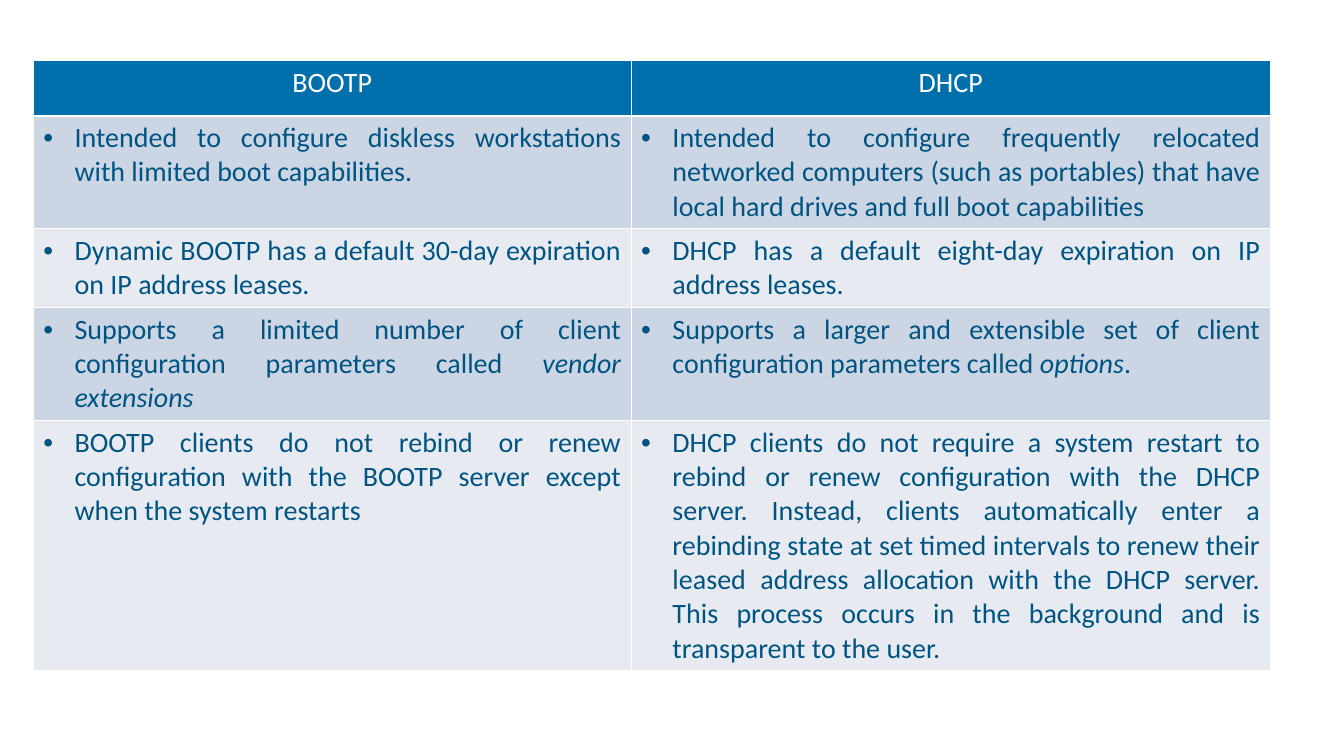
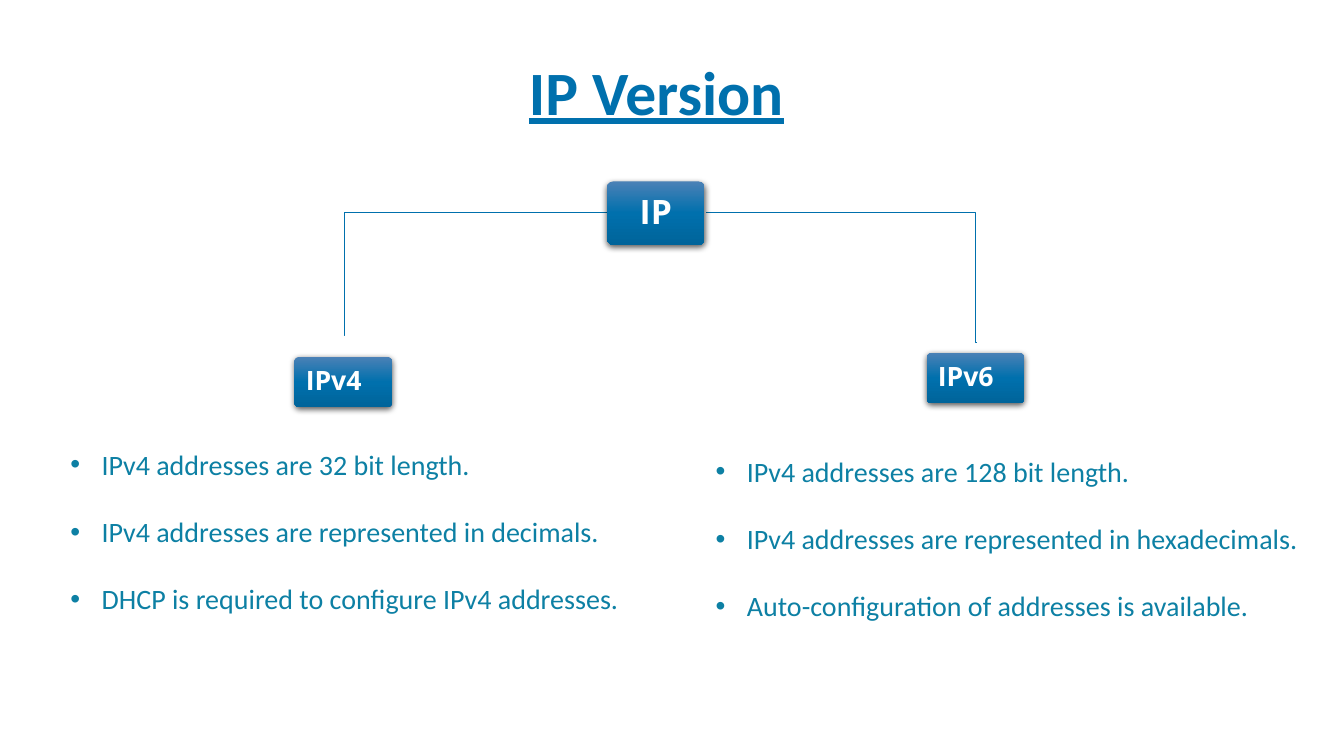
from copy import deepcopy
from dataclasses import dataclass

from lxml.etree import SubElement
from pptx import Presentation
from pptx.dml.color import RGBColor
from pptx.enum.shapes import MSO_CONNECTOR, MSO_SHAPE
from pptx.enum.text import MSO_ANCHOR, PP_ALIGN
from pptx.oxml.ns import qn
from pptx.util import Inches, Pt


@dataclass(frozen=True)
class Theme:
    blue: RGBColor = RGBColor(0x00, 0x70, 0xAD)
    light_blue: RGBColor = RGBColor(0x4B, 0x81, 0xB6)
    deep_blue: RGBColor = RGBColor(0x00, 0x64, 0x9A)
    table_text: RGBColor = RGBColor(0x00, 0x54, 0x82)
    list_text: RGBColor = RGBColor(0x0D, 0x80, 0xA4)
    white: RGBColor = RGBColor(0xFF, 0xFF, 0xFF)
    bands: tuple = (RGBColor(0xCC, 0xD5, 0xE3), RGBColor(0xE7, 0xEB, 0xF1))
    body_font: str = "Calibri"
    label_font: str = "Open Sans"
    title_size: int = 44
    body_size: int = 20
    root_size: int = 24
    branch_size: int = 19


theme = Theme()


def style(para, color, size=theme.body_size, name=theme.body_font, bold=False):
    font = para.font
    font.name, font.size, font.bold = name, Pt(size), bold
    font.color.rgb = color


def add_bullet(para):
    properties = para._p.get_or_add_pPr()
    properties.set("marL", str(Inches(0.31)))
    properties.set("indent", str(-Inches(0.31)))
    SubElement(properties, qn("a:buFont"), typeface="Arial")
    SubElement(properties, qn("a:buChar"), char="•")


deck = Presentation()
deck.slide_width, deck.slide_height = Inches(13.33), Inches(7.5)
blank = deck.slide_layouts[6]

# Slide 1: comparison table; asterisks enclose italic words
page = deck.slides.add_slide(blank)
rows = [
    ("BOOTP", "DHCP"),
    ("Intended to configure diskless workstations with limited boot capabilities.",
     "Intended to configure frequently relocated networked computers (such as portables) "
     "that have local hard drives and full boot capabilities"),
    ("Dynamic BOOTP has a default 30-day expiration on IP address leases.",
     "DHCP has a default eight-day expiration on IP address leases."),
    ("Supports a limited number of client configuration parameters called *vendor extensions*",
     "Supports a larger and extensible set of client configuration parameters called *options*."),
    ("BOOTP clients do not rebind or renew configuration with the BOOTP server except "
     "when the system restarts",
     "DHCP clients do not require a system restart to rebind or renew configuration with "
     "the DHCP server. Instead, clients automatically enter a rebinding state at set timed "
     "intervals to renew their leased address allocation with the DHCP server. This process "
     "occurs in the background and is transparent to the user."),
]
table = page.shapes.add_table(len(rows), 2, Inches(0.33), Inches(0.6),
                              Inches(12.27), Inches(5.96)).table
for column, width in zip(table.columns, (5.93, 6.34)):
    column.width = Inches(width)
for row, height in zip(table.rows, (0.55, 1.12, 0.78, 1.05, 2.46)):
    row.height = Inches(height)

for row_index, texts in enumerate(rows):
    is_header = row_index == 0
    for column_index, text in enumerate(texts):
        cell = table.cell(row_index, column_index)
        cell.fill.solid()
        cell.fill.fore_color.rgb = theme.blue if is_header else theme.bands[(row_index - 1) % 2]
        para = cell.text_frame.paragraphs[0]
        para.alignment = PP_ALIGN.CENTER if is_header else PP_ALIGN.JUSTIFY
        if not is_header:
            add_bullet(para)
        style(para, theme.white if is_header else theme.table_text)
        for part_index, part in enumerate(text.split("*")):
            if part:
                span = para.add_run()
                span.text = part
                if part_index % 2:
                    span.font.italic = True

# Slide 2: title
page = deck.slides.add_slide(blank)
box = page.shapes.add_textbox(Inches(0.76), Inches(0.22), Inches(11.5), Inches(1.45))
box.text_frame.word_wrap = True
box.text_frame.vertical_anchor = MSO_ANCHOR.MIDDLE
para = box.text_frame.paragraphs[0]
para.text = "IP Version"
para.alignment = PP_ALIGN.CENTER
para.line_spacing = 0.9
style(para, theme.blue, theme.title_size, bold=True)
para.font.underline = True

# Elbow lines from each branch up to the root box
for branch_x, branch_y, root_x in [(3.41, 3.33, 6.02), (9.68, 3.4, 7)]:
    line = page.shapes.add_connector(MSO_CONNECTOR.ELBOW, Inches(branch_x), Inches(branch_y),
                                     Inches(root_x), Inches(2.11))
    line.line.color.rgb = theme.blue
    line.line.width = Pt(0.5)
    properties = line._element.spPr
    SubElement(properties, qn("a:effectLst"))
    adjustments = properties.find(qn("a:prstGeom")).get_or_add_avLst()
    SubElement(adjustments, qn("a:gd"), name="adj1", fmla="val 100")

# Root and branch boxes
for label, left, top, height, size, alignment in [
    ("IPv4", 2.92, 3.54, 0.5, theme.branch_size, PP_ALIGN.LEFT),
    ("IPv6", 9.19, 3.5, 0.5, theme.branch_size, PP_ALIGN.LEFT),
    ("IP", 6.02, 1.8, 0.63, theme.root_size, PP_ALIGN.CENTER),
]:
    box = page.shapes.add_shape(MSO_SHAPE.ROUNDED_RECTANGLE, Inches(left), Inches(top),
                                Inches(0.97), Inches(height))
    box.adjustments[0] = 0.1
    box.line.fill.background()
    box.fill.gradient()
    box.fill.gradient_angle = 270
    properties = box._element.spPr
    stops = properties.find(".//" + qn("a:gsLst"))
    stops.insert(1, deepcopy(stops[0]))
    colors = (theme.light_blue, theme.blue, theme.deep_blue)
    for stop, position, color in zip(box.fill.gradient_stops, (0, 0.5, 1), colors):
        stop.position = position
        stop.color.rgb = color

    box.shadow.inherit = False
    shadow = SubElement(properties.find(qn("a:effectLst")), qn("a:outerShdw"),
                        blurRad=str(Pt(4.5)), dist=str(Pt(1.5)), dir="5400000", rotWithShape="0")
    shade = SubElement(shadow, qn("a:srgbClr"), val="000000")
    SubElement(shade, qn("a:alpha"), val="63000")

    frame = box.text_frame
    frame.word_wrap = True
    frame.vertical_anchor = MSO_ANCHOR.MIDDLE
    frame.margin_left = frame.margin_right = Inches(0.1)
    para = frame.paragraphs[0]
    para.text = label
    para.alignment = alignment
    para.line_spacing = 0.9
    style(para, theme.white, size, theme.label_font, bold=True)

# Bullet lists under the branches
for left, top, facts in [
    (0.6, 4.39, ("IPv4 addresses\u00a0are 32 bit length.",
                 "IPv4 addresses\u00a0are represented in decimals.",
                 "DHCP is required to configure\u00a0IPv4 addresses.")),
    (7, 4.46, ("IPv4 addresses\u00a0are 128 bit length.",
               "IPv4 addresses\u00a0are represented in hexadecimals.",
               "Auto-configuration of addresses is available.")),
]:
    box = page.shapes.add_textbox(Inches(left), Inches(top), Inches(6.33), Inches(2.12))
    frame = box.text_frame
    frame.word_wrap = True
    for index, fact in enumerate(facts):
        para = frame.add_paragraph() if index else frame.paragraphs[0]
        para.text = fact
        add_bullet(para)
        style(para, theme.list_text)
        para.space_after = Pt(24)

deck.save("out.pptx")
